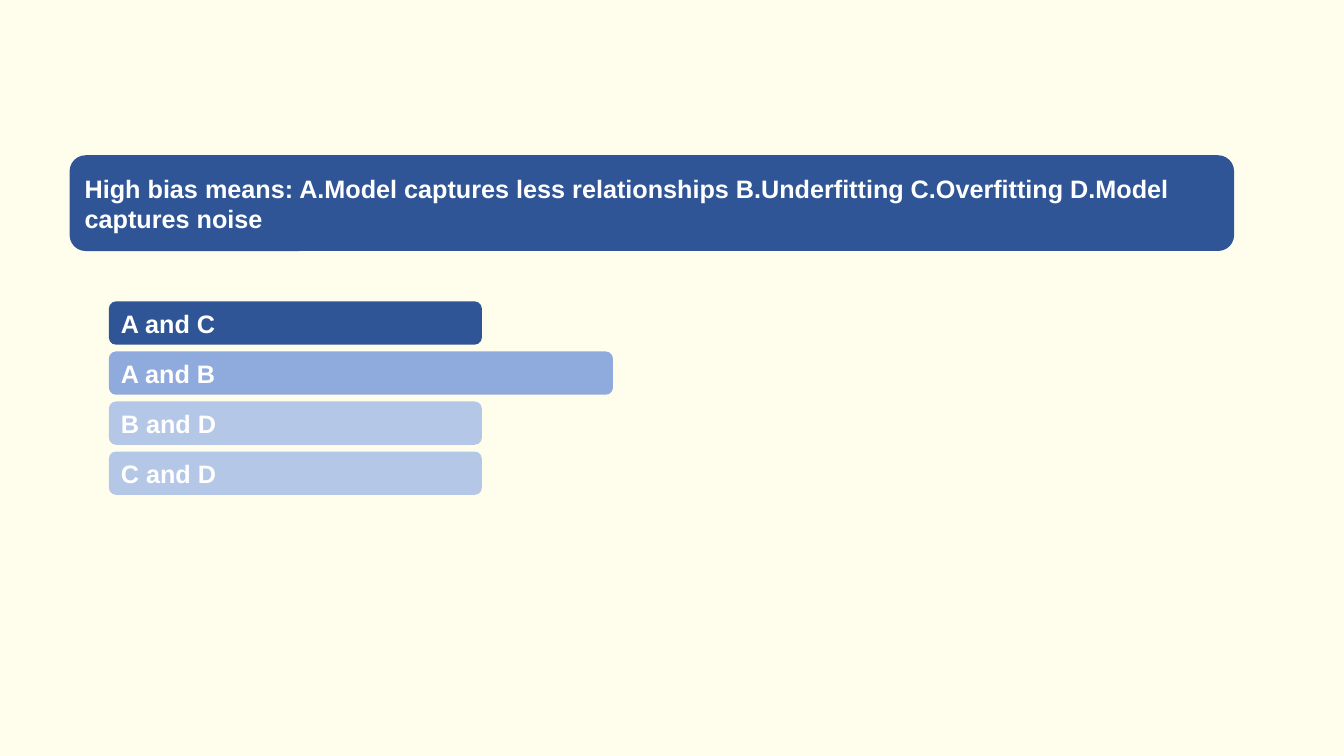
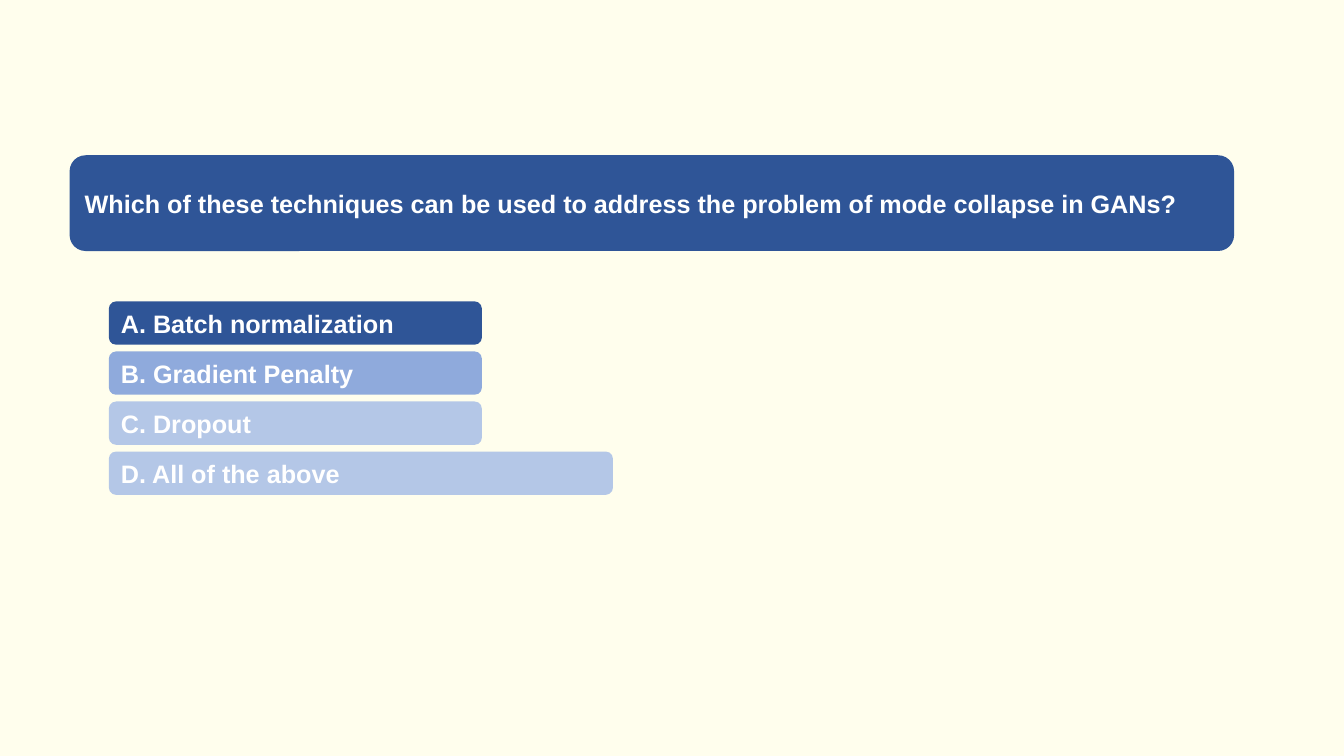
from pptx import Presentation
from pptx.dml.color import RGBColor
from pptx.enum.shapes import MSO_SHAPE
from pptx.enum.text import MSO_ANCHOR, MSO_AUTO_SIZE, PP_ALIGN
from pptx.util import Inches, Pt

# Shared style
FONT = "Arial"
CREAM, WHITE = "FFFEED", "FFFFFF"
NAVY, BLUE, PALE = "2F5597", "8FAADC", "B4C7E7"
OPTION_COLORS = (NAVY, BLUE, PALE, PALE)

# Shared layout, in inches
QUESTION_BOX = (0.69, 1.54, 11.55, 0.95)
OPTION_LEFT, OPTION_HEIGHT = 1.08, 0.43
FIRST_TOP, LAST_TOP = 2.99, 4.48
OPTION_PITCH = (LAST_TOP - FIRST_TOP) / (len(OPTION_COLORS) - 1)
OPTION_WIDTH, ANSWER_WIDTH = 3.7, 5

# Question, options, index of the correct option
QUIZ = [
    ("High bias means: A.Model captures less relationships B.Underfitting "
     "C.Overfitting D.Model captures noise",
     ["A and C", "A and B", "B and D", "C and D"], 1),
    ("Which of these techniques can be used to address the problem of "
     "mode collapse in GANs?",
     ["A. Batch normalization", "B. Gradient Penalty", "C. Dropout",
      "D. All of the above"], 3),
]


def paint(fill, color):
    fill.solid()
    fill.fore_color.rgb = RGBColor.from_string(color)


def write(shape, text, size=18, color=WHITE, bold=True, inset=0.1):
    frame = shape.text_frame
    frame.text = text
    frame.word_wrap = True
    frame.auto_size = MSO_AUTO_SIZE.NONE
    frame.vertical_anchor = MSO_ANCHOR.MIDDLE
    frame.margin_left = frame.margin_right = Inches(inset)
    paragraph = frame.paragraphs[0]
    paragraph.alignment = PP_ALIGN.LEFT
    paragraph.line_spacing = 1.0
    paragraph.space_before = Pt(0)
    font = paragraph.font
    font.name, font.size, font.bold = FONT, Pt(size), bold
    font.color.rgb = RGBColor.from_string(color)


def add_bar(slide, box, color):
    bar = slide.shapes.add_shape(MSO_SHAPE.ROUNDED_RECTANGLE, *map(Inches, box))
    bar.shadow.inherit = False
    bar.line.fill.background()
    paint(bar.fill, color)
    return bar


def add_question(slide, question):
    add_bar(slide, QUESTION_BOX, NAVY)
    # Bring the title in front of its bar
    title = slide.shapes.title
    slide.shapes.element.append(title.element)
    title.left, title.top, title.width, title.height = map(Inches, QUESTION_BOX)
    write(title, question, inset=0.15)


def add_options(slide, options, answer):
    for index, (option, color) in enumerate(zip(options, OPTION_COLORS)):
        width = ANSWER_WIDTH if index == answer else OPTION_WIDTH
        top = FIRST_TOP + index * OPTION_PITCH
        bar = add_bar(slide, (OPTION_LEFT, top, width, OPTION_HEIGHT), color)
        write(bar, option)


def main():
    deck = Presentation()
    deck.slide_width, deck.slide_height = Inches(13.33), Inches(7.5)
    paint(deck.slide_master.background.fill, CREAM)
    title_only = deck.slide_layouts.get_by_name("Title Only")
    for question, options, answer in QUIZ:
        slide = deck.slides.add_slide(title_only)
        add_question(slide, question)
        add_options(slide, options, answer)
    deck.save("out.pptx")


if __name__ == "__main__":
    main()
